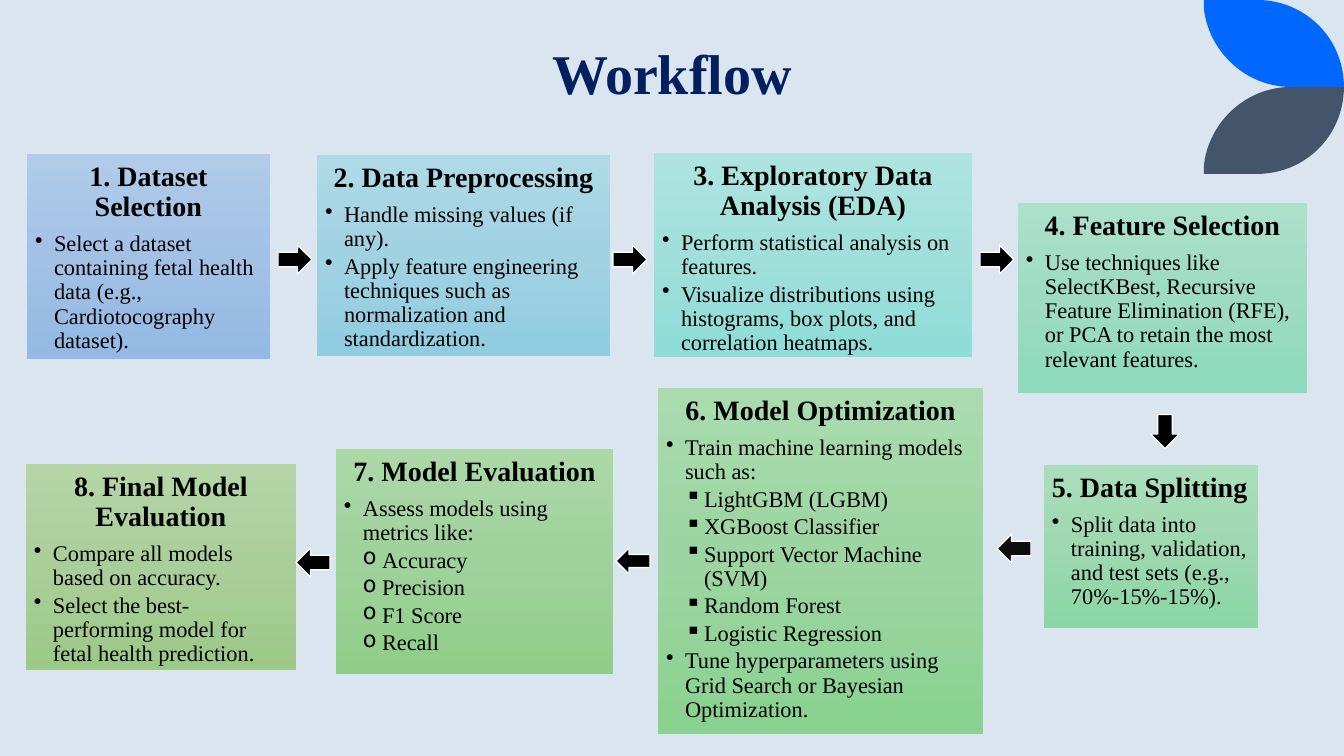
from copy import deepcopy
from dataclasses import dataclass

from lxml import etree
from pptx import Presentation
from pptx.dml.color import RGBColor
from pptx.enum.shapes import MSO_SHAPE
from pptx.enum.text import MSO_ANCHOR, PP_ALIGN
from pptx.oxml.ns import qn
from pptx.util import Pt

RECT, ARROW = MSO_SHAPE.RECTANGLE, MSO_SHAPE.RIGHT_ARROW
TOP, BOTTOM = MSO_ANCHOR.TOP, MSO_ANCHOR.BOTTOM
LEFT, CENTER = PP_ALIGN.LEFT, PP_ALIGN.CENTER


@dataclass(frozen=True)
class Theme:
    font: str = "Times New Roman"
    background: str = "DAE5EF"
    title: str = "002060"
    text: str = "000000"
    arrow: str = "000000"
    arrow_soft: str = "0D0D0D"
    arrow_line: str = "FFFFFF"
    leaf_top: str = "0068FF"
    leaf_bottom: str = "44546A"
    title_size: int = 40
    heading_size: int = 20
    body_size: int = 16


THEME = Theme()
SLIDE = (1344, 756)
TITLE = ("Workflow", (133, 38, 1078, 72))
BULLETS = {1: "•", 2: "▪", 3: "o"}

STEPS = [
    ("1. Dataset Selection", (27, 154, 243, 205), CENTER,
     ("B1CBE9", "A3C1E5", "93B9E4"),
     [(1, "Select a dataset containing fetal health data (e.g., Cardiotocography dataset).")]),
    ("2. Data Preprocessing", (317, 155, 293, 201), CENTER,
     ("AFD9E7", "A1D2E2", "90CDE1"),
     [(1, "Handle missing values (if any)."),
      (1, "Apply feature engineering techniques such as normalization and standardization.")]),
    ("3. Exploratory Data Analysis (EDA)", (654, 153, 318, 204), CENTER,
     ("ADE4E0", "A0DFDA", "8EDDD8"),
     [(1, "Perform statistical analysis on features."),
      (1, "Visualize distributions using histograms, box plots, and correlation heatmaps.")]),
    ("4. Feature Selection", (1018, 203, 289, 190), CENTER,
     ("ACE1CC", "9EDBC3", "8DDABC"),
     [(1, "Use techniques like SelectKBest, Recursive Feature Elimination (RFE), "
          "or PCA to retain the most relevant features.")]),
    ("5. Data Splitting", (1044, 465, 214, 163), LEFT,
     ("AADEBB", "9DD8B0", "8BD6A4"),
     [(1, "Split data into training, validation, and test sets (e.g., 70%-15%-15%).")]),
    ("6. Model Optimization", (658, 388, 325, 346), CENTER,
     ("A9DBAE", "9CD5A1", "89D290"),
     [(1, "Train machine learning models such as:"),
      (2, "LightGBM (LGBM)"),
      (2, "XGBoost Classifier"),
      (2, "Support Vector Machine (SVM)"),
      (2, "Random Forest"),
      (2, "Logistic Regression"),
      (1, "Tune hyperparameters using Grid Search or Bayesian Optimization.")]),
    ("7. Model Evaluation", (336, 449, 277, 225), CENTER,
     ("ACD8A8", "9FD19B", "8FCE88"),
     [(1, "Assess models using metrics like:"),
      (3, "Accuracy"),
      (3, "Precision"),
      (3, "F1 Score"),
      (3, "Recall")]),
    ("8. Final Model Evaluation", (26, 464, 270, 206), CENTER,
     ("B5D5A7", "AACE9A", "9CC987"),
     [(1, "Compare all models based on accuracy."),
      (1, "Select the best-performing model for fetal health prediction.")]),
]

ARROWS = [
    (278, 245, 29, 0, THEME.arrow),
    (613, 245, 29, 0, THEME.arrow),
    (980, 245, 29, 0, THEME.arrow),
    (296, 548, 29, 180, THEME.arrow),
    (616, 548, 26, 180, THEME.arrow),
    (997, 534, 29, 180, THEME.arrow_soft),
    (1148, 417, 29, 90, THEME.arrow),
]
ARROW_WIDTH = 34

LEAF_X, LEAF_HEIGHT = 1204, 87
LEAF_CURVES = [
    [(53, 0), (101, 0), (140, 38), (140, 87)],
    [(87, 87), (42, 87), (5, 52), (0, 9)],
]
CURVE_STEPS = 24


def px(n):
    return round(n * 914400 / 100.8)


def rgb(value):
    return RGBColor.from_string(value)


def add_text(tf, text, *, size, color=THEME.text, bold=False, align=LEFT,
             spacing=0.9, after=0, kind=0):
    p = tf.paragraphs[0] if not tf.text else tf.add_paragraph()
    p.alignment = align
    p.line_spacing = spacing
    p.space_after = Pt(after)
    if kind:
        level = min(kind, 2)
        p.level = level
        pPr = p._p.get_or_add_pPr()
        pPr.set("marL", str(px(19 * level)))
        pPr.set("indent", str(px(-19)))
        etree.SubElement(pPr, qn("a:buChar")).set("char", BULLETS[kind])
    r = p.add_run()
    r.text = text
    r.font.name = THEME.font
    r.font.size = Pt(size)
    r.font.bold = bold
    r.font.color.rgb = rgb(color)


def add_shape(slide, shape_type, box):
    sp = slide.shapes.add_shape(shape_type, *map(px, box))
    sp.shadow.inherit = False
    return sp


def fill_gradient(sp, colors):
    sp.fill.gradient()
    sp.fill.gradient_angle = 270
    stops = sp._element.spPr.find(".//" + qn("a:gsLst"))
    stops.insert(1, deepcopy(stops[0]))
    for stop, color, position in zip(sp.fill.gradient_stops, colors, (0, 0.5, 1)):
        stop.color.rgb = rgb(color)
        stop.position = position


def add_step(slide, heading, box, align, colors, items):
    sp = add_shape(slide, RECT, box)
    fill_gradient(sp, colors)
    sp.line.fill.background()
    tf = sp.text_frame
    tf.word_wrap = True
    tf.vertical_anchor = TOP
    tf.margin_left = tf.margin_right = tf.margin_top = tf.margin_bottom = px(8)
    add_text(tf, heading, size=THEME.heading_size, bold=True, align=align, after=7)
    for kind, text in items:
        add_text(tf, text, size=THEME.body_size, after=2.4, kind=kind)


def add_arrow(slide, x, y, height, rotation, color):
    sp = add_shape(slide, ARROW, (x, y, ARROW_WIDTH, height))
    sp.rotation = rotation
    sp.fill.solid()
    sp.fill.fore_color.rgb = rgb(color)
    sp.line.color.rgb = rgb(THEME.arrow_line)
    sp.line.width = Pt(1)


def curve_points(a, b, c, d):
    for i in range(CURVE_STEPS + 1):
        t = i / CURVE_STEPS
        u = 1 - t
        yield tuple(u**3 * k + 3 * u * u * t * m + 3 * u * t * t * n + t**3 * q
                    for k, m, n, q in zip(a, b, c, d))


def add_leaf(slide, color, mirrored):
    outline = [(0, 0)] + [pt for curve in LEAF_CURVES for pt in curve_points(*curve)]
    points = [(px(LEAF_X + x), px(2 * LEAF_HEIGHT - y if mirrored else y))
              for x, y in outline]
    builder = slide.shapes.build_freeform(*points[0])
    builder.add_line_segments(points[1:], close=True)
    sp = builder.convert_to_shape()
    sp.shadow.inherit = False
    sp.fill.solid()
    sp.fill.fore_color.rgb = rgb(color)
    sp.line.fill.background()


def main():
    prs = Presentation()
    prs.slide_width, prs.slide_height = map(px, SLIDE)
    slide = prs.slides.add_slide(prs.slide_layouts[6])
    slide.background.fill.solid()
    slide.background.fill.fore_color.rgb = rgb(THEME.background)

    add_leaf(slide, THEME.leaf_top, False)
    add_leaf(slide, THEME.leaf_bottom, True)

    text, box = TITLE
    tf = slide.shapes.add_textbox(*map(px, box)).text_frame
    tf.word_wrap = True
    tf.vertical_anchor = BOTTOM
    add_text(tf, text, size=THEME.title_size, color=THEME.title, bold=True,
             align=CENTER, spacing=0.8)

    for step in STEPS:
        add_step(slide, *step)
    for arrow in ARROWS:
        add_arrow(slide, *arrow)
    prs.save("out.pptx")


if __name__ == "__main__":
    main()
